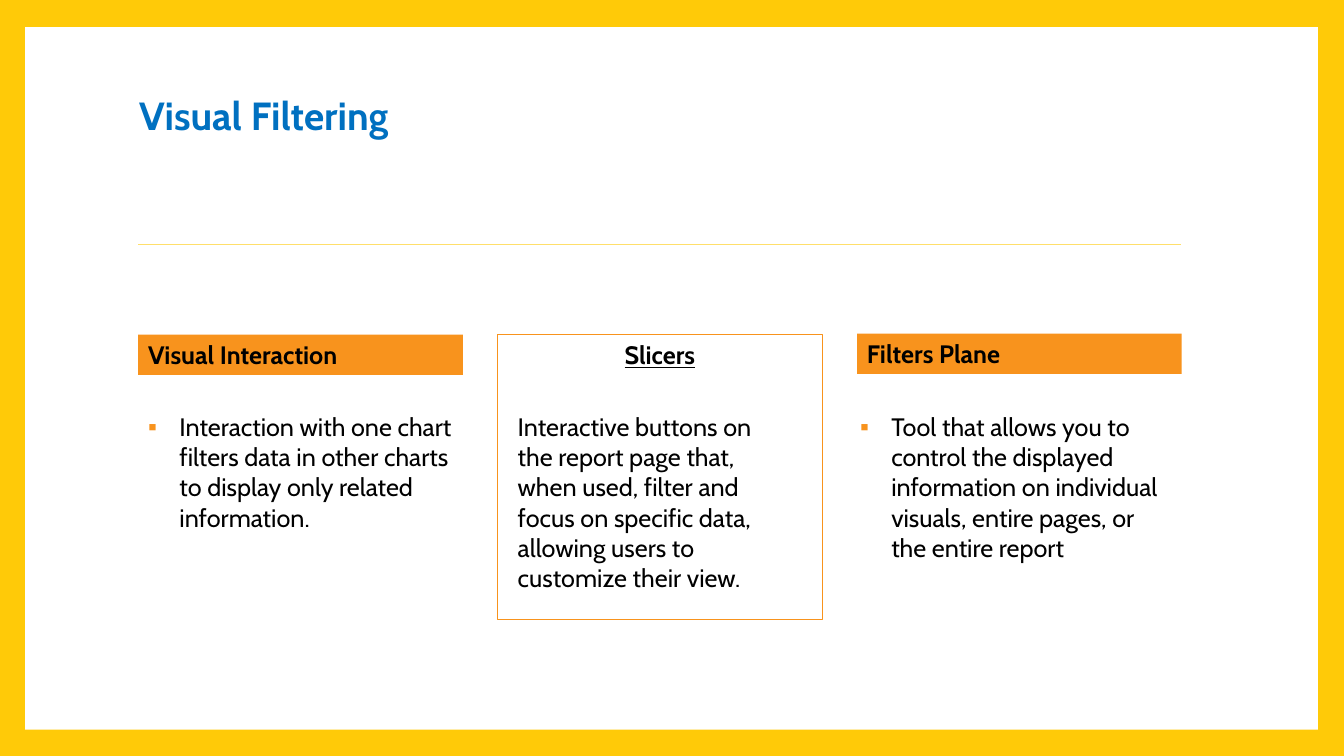
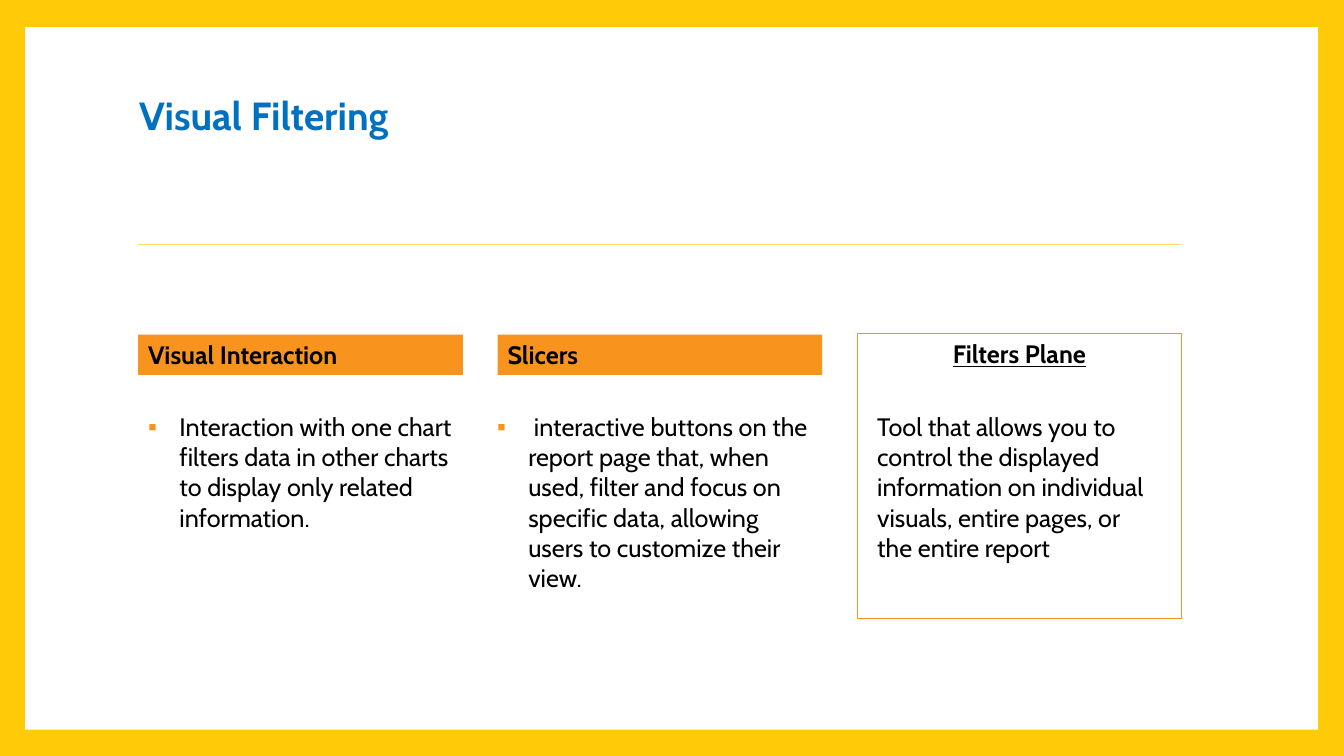
from lxml import etree
from pptx import Presentation
from pptx.dml.color import RGBColor
from pptx.enum.shapes import MSO_CONNECTOR, MSO_SHAPE
from pptx.enum.text import MSO_ANCHOR, MSO_AUTO_SIZE, PP_ALIGN
from pptx.oxml.ns import qn
from pptx.util import Inches, Pt

RECTANGLE = MSO_SHAPE.RECTANGLE
STRAIGHT = MSO_CONNECTOR.STRAIGHT
TOP = MSO_ANCHOR.TOP
NO_AUTOFIT = MSO_AUTO_SIZE.NONE
LEFT, CENTER = PP_ALIGN.LEFT, PP_ALIGN.CENTER

# Shared look
FONT = "Cabin"
YELLOW, PALE_YELLOW, ORANGE = "FFCA08", "FFDF6B", "F8931D"
BLUE, BLACK, WHITE = "0070C0", "000000", "FFFFFF"
TITLE_STYLE = {"size": Pt(28), "bold": True}
HEADING_STYLE = {"size": Pt(18), "bold": True}
FOCUS_STYLE = {**HEADING_STYLE, "underline": True}
BODY_STYLE = {"size": Pt(18), "bold": False}
FRAME_STYLE = {"word_wrap": True, "auto_size": NO_AUTOFIT, "vertical_anchor": TOP}

# Column grid
COMPARISON_LAYOUT = 4
FIRST_LEFT, PITCH, COLUMN_WIDTH = 1.37, 3.565, 3.22
HEADING_HEIGHT, FOCUS_HEIGHT = 0.4, 2.83
BODY_TOP, BODY_WIDTH, BULLET_INDENT = 4.03, 3.32, 0.31
FOCUS_INSET = 0.1

# One entry per column; the focused column is framed, the others are bulleted
COLUMNS = [
    {"heading": "Visual Interaction", "top": 3.32, "bullet_left": 1.37,
     "focus_width": 2.97, "height": 1.31,
     "text": "Interaction with one chart filters data in other charts "
             "to display only related information."},
    {"heading": "Slicers", "top": 3.32, "bullet_left": 4.83,
     "focus_width": 2.65, "height": 1.92,
     "text": " interactive buttons on the report page that, when used, filter "
             "and focus on specific data, allowing users to customize their view.",
     "focus_text": "Interactive buttons on the report page that, when used, filter "
                   "and focus on specific data, allowing users to customize their view."},
    {"heading": "Filters Plane", "top": 3.31, "bullet_left": 8.43,
     "focus_width": 2.97, "height": 1.62,
     "text": "Tool that allows you to control the displayed information on "
             "individual visuals, entire pages, or the entire report"},
]
FOCUSED_COLUMNS = [1, 2]


def rgb(color):
    return RGBColor.from_string(color)


def apply(target, style):
    for attribute, value in style.items():
        setattr(target, attribute, value)


def place(shape, left, top, width, height):
    apply(shape, {"left": Inches(left), "top": Inches(top),
                  "width": Inches(width), "height": Inches(height)})


def write(shape, text, style, color=BLACK, align=LEFT):
    apply(shape.text_frame, FRAME_STYLE)
    paragraph = shape.text_frame.paragraphs[0]
    apply(paragraph, {"alignment": align, "space_before": Pt(0)})
    run = paragraph.add_run()
    run.text = text
    apply(run.font, {"name": FONT, **style})
    run.font.color.rgb = rgb(color)
    return paragraph


def set_bullet(paragraph, bulleted):
    properties = paragraph._p.get_or_add_pPr()
    indent = Inches(BULLET_INDENT) if bulleted else 0
    properties.set("marL", str(indent))
    properties.set("indent", str(-indent))
    if bulleted:
        color = etree.SubElement(properties, qn("a:buClr"))
        etree.SubElement(color, qn("a:srgbClr")).set("val", ORANGE)
        etree.SubElement(properties, qn("a:buFont")).set("typeface", "Arial")
        etree.SubElement(properties, qn("a:buChar")).set("char", "▪")
    else:
        etree.SubElement(properties, qn("a:buNone"))


def add_box(slide, left, top, width, height, fill, line=None):
    box = slide.shapes.add_shape(RECTANGLE, Inches(left), Inches(top),
                                 Inches(width), Inches(height))
    box.shadow.inherit = False
    box.fill.solid()
    box.fill.fore_color.rgb = rgb(fill)
    if line:
        box.line.color.rgb = rgb(line)
        box.line.width = Pt(0.75)
    else:
        box.line.fill.background()
    return box


def add_divider(slide):
    divider = slide.shapes.add_connector(STRAIGHT, Inches(1.37), Inches(2.42),
                                         Inches(11.71), Inches(2.42))
    divider.line.color.rgb = rgb(PALE_YELLOW)
    divider.line.width = Pt(0.5)
    etree.SubElement(divider.element.spPr, qn("a:effectLst"))


def add_heading(slide, column, left, focused):
    if focused:
        box = add_box(slide, left, column["top"], COLUMN_WIDTH, FOCUS_HEIGHT, WHITE, ORANGE)
        write(box, column["heading"], FOCUS_STYLE, align=CENTER)
    else:
        band = add_box(slide, left, column["top"], COLUMN_WIDTH, HEADING_HEIGHT, ORANGE)
        write(band, column["heading"], HEADING_STYLE)


def fill_description(slide, body, column, left, focused):
    if focused:
        text = column.get("focus_text", column["text"])
        place(body, left + FOCUS_INSET, BODY_TOP, column["focus_width"], column["height"])
    else:
        text = column["text"]
        place(body, column["bullet_left"], BODY_TOP, BODY_WIDTH, column["height"])
    set_bullet(write(body, text, BODY_STYLE), not focused)
    # Bring the description in front of its frame
    slide.shapes.element.append(body.element)


def add_filtering_slide(deck, focus):
    slide = deck.slides.add_slide(deck.slide_layouts[COMPARISON_LAYOUT])
    title, *bodies = list(slide.placeholders)
    place(title, 1.28, 0.86, 6.67, 0.57)
    write(title, "Visual Filtering", TITLE_STYLE, BLUE)
    add_divider(slide)
    for index, (column, body) in enumerate(zip(COLUMNS, bodies)):
        left = FIRST_LEFT + index * PITCH
        add_heading(slide, column, left, index == focus)
        fill_description(slide, body, column, left, index == focus)
    for spare in bodies[len(COLUMNS):]:
        slide.shapes.element.remove(spare.element)
    return slide


def add_shared_panel(deck, slide):
    """Yellow background and white panel, held by the master and layout."""
    background = deck.slide_master.background.fill
    background.solid()
    background.fore_color.rgb = rgb(YELLOW)
    panel = add_box(slide, 0.25, 0.27, 12.82, 6.97, WHITE)
    slide.slide_layout.shapes.element.insert(2, panel.element)


def main():
    deck = Presentation()
    deck.slide_width, deck.slide_height = Inches(13.33), Inches(7.5)
    slides = [add_filtering_slide(deck, focus) for focus in FOCUSED_COLUMNS]
    add_shared_panel(deck, slides[0])
    deck.save("out.pptx")


if __name__ == "__main__":
    main()
